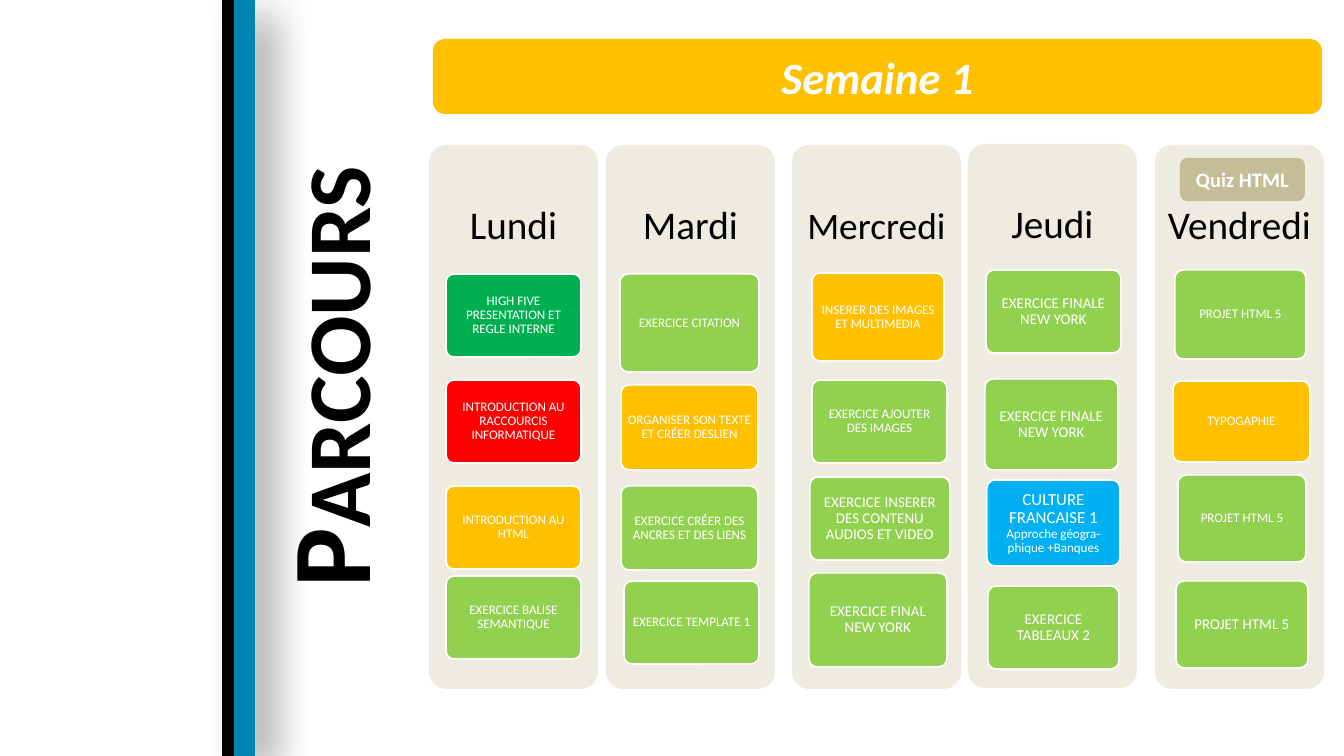
from lxml import etree
from pptx import Presentation
from pptx.dml.color import RGBColor
from pptx.enum.shapes import MSO_SHAPE
from pptx.enum.text import MSO_ANCHOR, PP_ALIGN
from pptx.oxml import parse_xml
from pptx.oxml.ns import nsdecls, qn
from pptx.util import Emu, Pt

RECT, ROUND = MSO_SHAPE.RECTANGLE, MSO_SHAPE.ROUNDED_RECTANGLE
TOP, MIDDLE = MSO_ANCHOR.TOP, MSO_ANCHOR.MIDDLE
CENTER = PP_ALIGN.CENTER

WIDTH, HEIGHT = 1344, 756
SCALE = 9144000 / WIDTH
FONT = "Calibri"

BLACK = RGBColor(0, 0, 0)
WHITE = RGBColor(255, 255, 255)
BLUE = RGBColor(0x00, 0x84, 0xB4)
SKY = RGBColor(0x00, 0xB0, 0xF0)
GREEN = RGBColor(0x00, 0xB0, 0x50)
LIME = RGBColor(0x92, 0xD0, 0x50)
RED = RGBColor(0xFF, 0x00, 0x00)
GOLD = RGBColor(0xFF, 0xC0, 0x00)
CREAM = RGBColor(0xEE, 0xEC, 0xE1)
TAN = RGBColor(0xC4, 0xBD, 0x97)

# Each day: name, text size, left, top, cards
# Each card: left, top, width, height, fill, lines of (text, size)
DAYS = [
    ("Lundi", 21, 429, 145, [
        (446, 274, 135, 83, GREEN, [("HIGH FIVE PRESENTATION ET REGLE INTERNE", 7)]),
        (446, 380, 135, 83, RED, [("INTRODUCTION AU RACCOURCIS INFORMATIQUE", 7)]),
        (446, 486, 135, 83, GOLD, [("INTRODUCTION AU HTML", 7)]),
        (446, 576, 135, 83, LIME, [("EXERCICE BALISE SEMANTIQUE", 7)]),
    ]),
    ("Mardi", 21, 606, 145, [
        (620, 274, 139, 98, LIME, [("EXERCICE CITATION", 7)]),
        (621, 385, 137, 85, GOLD, [("ORGANISER SON TEXTE ET CRÉER DESLIEN", 7)]),
        (621, 486, 137, 84, LIME, [("EXERCICE CRÉER DES ANCRES ET DES LIENS", 7)]),
        (624, 581, 135, 83, LIME, [("EXERCICE TEMPLATE 1", 7)]),
    ]),
    ("Mercredi", 20, 792, 145, [
        (812, 273, 132, 88, GOLD, [("INSERER DES IMAGES ET MULTIMEDIA", 7)]),
        (812, 380, 135, 83, LIME, [("EXERCICE AJOUTER DES IMAGES", 7)]),
        (810, 477, 140, 83, LIME, [("EXERCICE INSERER DES CONTENU AUDIOS ET VIDEO", 8)]),
        (809, 573, 138, 94, LIME, [("EXERCICE FINAL NEW YORK", 8)]),
    ]),
    ("Jeudi", 21, 968, 144, [
        (986, 270, 135, 83, LIME, [("EXERCICE FINALE NEW YORK", 8)]),
        (985, 379, 133, 91, LIME, [("EXERCICE FINALE NEW YORK", 8)]),
        (987, 480, 133, 86, SKY, [("CULTURE FRANCAISE 1", 9), ("Approche géogra-", 7),
                                  ("phique +Banques", 7)]),
        (988, 586, 131, 83, LIME, [("EXERCICE TABLEAUX 2", 8)]),
    ]),
    ("Vendredi", 21, 1155, 145, [
        (1175, 270, 131, 89, LIME, [("PROJET HTML 5", 7)]),
        (1173, 381, 137, 81, GOLD, [("TYPOGAPHIE", 7)]),
        (1178, 475, 128, 87, LIME, [("PROJET HTML 5", 7)]),
        (1176, 581, 132, 87, LIME, [("PROJET HTML 5", 8)]),
    ]),
]


def px(n):
    return Emu(round(n * SCALE))


class Board:
    def __init__(self, slide):
        self.shapes = slide.shapes

    def box(self, kind, left, top, width, height, fill, radius=0):
        shape = self.shapes.add_shape(kind, px(left), px(top), px(width), px(height))
        shape.shadow.inherit = False
        shape.fill.solid()
        shape.fill.fore_color.rgb = fill
        shape.line.fill.background()
        if radius:
            shape.adjustments[0] = radius / min(width, height)
        return shape

    def words(self, shape, lines, color, pads, anchor=MIDDLE, wrap=True, space=1.0):
        frame = shape.text_frame
        frame.word_wrap = wrap
        frame.vertical_anchor = anchor
        (frame.margin_left, frame.margin_top,
         frame.margin_right, frame.margin_bottom) = map(px, pads)
        para = frame.paragraphs[0]
        para.alignment = CENTER
        para.line_spacing = space
        for i, (text, size) in enumerate(lines):
            if i:
                para.add_line_break()
            run = para.add_run()
            run.text = text
            run.font.name = FONT
            run.font.size = Pt(size)
            run.font.color.rgb = color
        return run

    def shade(self, shape):
        effects = shape._element.spPr.find(qn("a:effectLst"))
        effects.append(parse_xml(
            f'<a:outerShdw {nsdecls("a")} blurRad="292100" dist="139700" '
            'dir="2700000" algn="tl" rotWithShape="0"/>'))
        color = etree.SubElement(effects[0], qn("a:srgbClr"), val="333333")
        etree.SubElement(color, qn("a:alpha"), val="65000")

    def title(self, text):
        shape = self.shapes.add_textbox(px(-54), px(302), px(761), px(149))
        shape.rotation = 270
        run = self.words(shape, [(text, 60)], BLACK, (13, 7, 13, 7), TOP)
        run.font.bold = True
        run.font._element.set("cap", "small")

    def label(self, place, fill, radius, text, size, italic=False, wrap=True):
        shape = self.box(ROUND, *place, fill, radius)
        run = self.words(shape, [(text, size)], WHITE, (13, 7, 13, 7), wrap=wrap)
        run.font.bold = True
        run.font.italic = italic

    def day(self, name, size, left, top):
        shape = self.box(ROUND, left, top, 169, 544, CREAM, 17)
        self.words(shape, [(name, size)], BLACK, (7, 7, 7, 387), space=0.9)

    def card(self, left, top, width, height, fill, lines):
        shape = self.box(ROUND, left, top, width, height, fill, 8)
        shape.line.color.rgb = WHITE
        shape.line.width = Pt(0.85)
        self.words(shape, lines, WHITE, (3, 2, 3, 2), space=0.9)


def main():
    deck = Presentation()
    deck.slide_width, deck.slide_height = px(WIDTH), px(HEIGHT)
    board = Board(deck.slides.add_slide(deck.slide_layouts[6]))

    # Side bars and title
    board.shade(board.box(RECT, 233, 0, 22, HEIGHT, BLUE))
    board.box(RECT, 222, 0, 12, HEIGHT, BLACK)
    board.title("Parcours")

    # Week banner
    board.label((433, 39, 889, 75), GOLD, 12, "Semaine 1", 24, italic=True)

    # Day columns with their cards
    for name, size, left, top, cards in DAYS:
        board.day(name, size, left, top)
        for card in cards:
            board.card(*card)

    # Quiz tag
    board.label((1180, 158, 125, 43), TAN, 7, "Quiz HTML", 11, wrap=False)

    deck.save("out.pptx")


if __name__ == "__main__":
    main()
